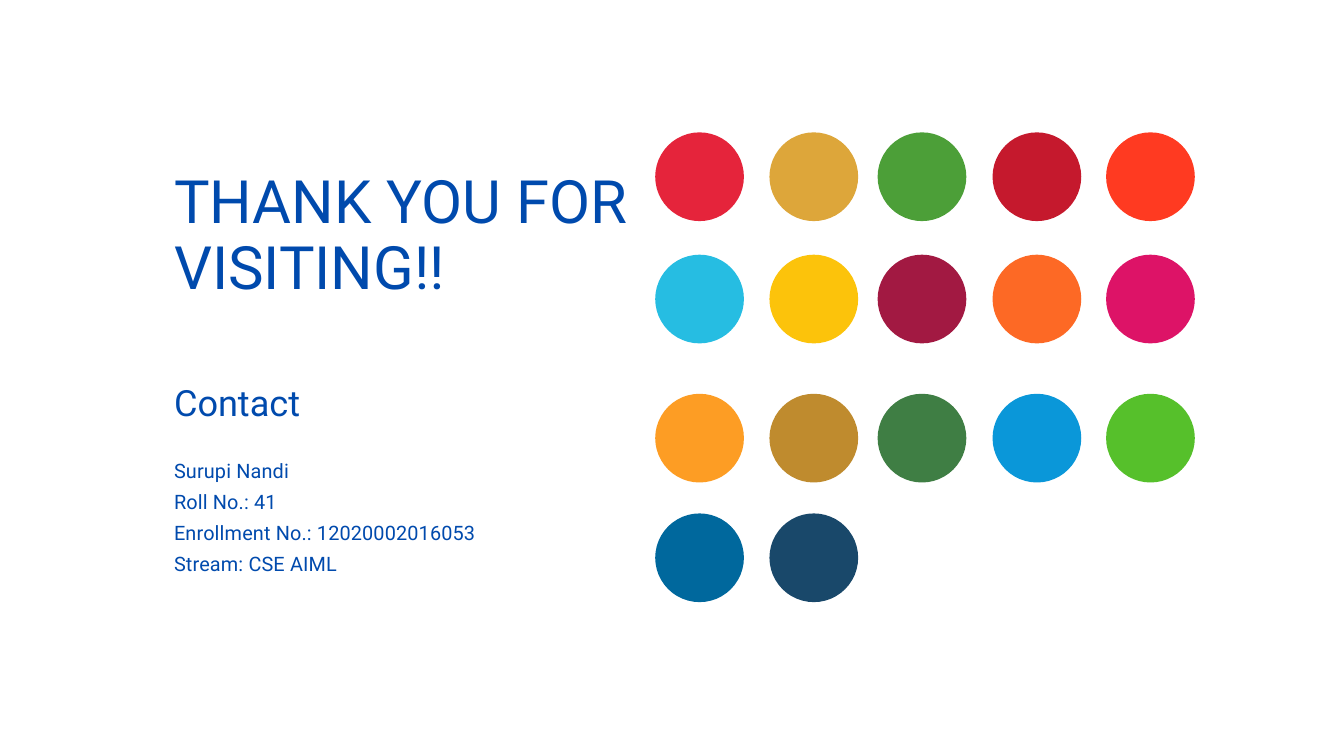
"""Build the closing thank-you slide with contact details and a grid of coloured goal circles."""
import pptx
import pptx.dml.color
import pptx.enum.shapes
import pptx.enum.text
import pptx.util

Inches = pptx.util.Inches
Pt = pptx.util.Pt
RGBColor = pptx.dml.color.RGBColor

BLUE = RGBColor(0x00, 0x4A, 0xAD)
GOAL_COLOURS = [
    [RGBColor.from_string(code) for code in row.split()]
    for row in (
        "E5243B DDA63A 4C9F38 C5192D FF3A21",
        "26BDE2 FCC30B A21942 FD6925 DD1367",
        "FD9D24 BF8B2E 3F7E44 0A97D9 56C02B",
        "00689D 19486A",
    )
]
COLUMN_LEFTS = [9.75, 11.45, 13.06, 14.77, 16.46]
ROW_TOPS = [1.97, 3.79, 5.86, 7.64]
DIAMETER = 1.32
TEXT_LEFT = 2.59


def write_text(box, place, lines, size, line_spacing, tracking=0):
    box.left, box.top, box.width, box.height = [Inches(length) for length in place]
    frame = box.text_frame
    frame_format = {
        "margin_left": 0,
        "margin_top": 0,
        "margin_right": 0,
        "margin_bottom": 0,
        "word_wrap": True,
        "auto_size": pptx.enum.text.MSO_AUTO_SIZE.NONE,
        "vertical_anchor": pptx.enum.text.MSO_ANCHOR.TOP,
    }
    for name, value in frame_format.items():
        setattr(frame, name, value)
    frame.text = "\n".join(lines)
    for para in frame.paragraphs:
        para.alignment = pptx.enum.text.PP_ALIGN.LEFT
        para.line_spacing = Pt(line_spacing)
        for span in para.runs:
            for name, value in {"name": "Roboto", "size": Pt(size)}.items():
                setattr(span.font, name, value)
            span.font.color.rgb = BLUE
            if tracking:
                span._r.get_or_add_rPr().set("spc", str(round(tracking * 100)))


deck = pptx.Presentation()
deck.slide_width = Inches(20)
deck.slide_height = Inches(11.25)
page = deck.slides.add_slide(deck.slide_layouts[5])

for top, colours in zip(ROW_TOPS, GOAL_COLOURS):
    for left, colour in zip(COLUMN_LEFTS, colours):
        circle = page.shapes.add_shape(
            pptx.enum.shapes.MSO_SHAPE.OVAL,
            Inches(left), Inches(top), Inches(DIAMETER), Inches(DIAMETER),
        )
        circle.shadow.inherit = False
        circle.fill.solid()
        circle.fill.fore_color.rgb = colour
        circle.line.fill.background()

write_text(page.shapes.title, (TEXT_LEFT, 2.53, 6.87, 2.93),
           ["THANK YOU FOR VISITING!!"], 64, 70.4)

contact_heading = page.shapes.add_textbox(0, 0, 0, 0)
write_text(contact_heading, (TEXT_LEFT, 5.55, 5.17, 0.71), ["Contact"], 38.7, 54.2)

contact_details = page.shapes.add_textbox(0, 0, 0, 0)
write_text(
    contact_details,
    (TEXT_LEFT, 6.71, 5.17, 2.27),
    [
        "Surupi Nandi",
        "Roll No.: 41",
        "Enrollment No.: 12020002016053",
        "Stream: CSE AIML",
    ],
    21.3, 33.4, tracking=0.2,
)

deck.save("out.pptx")
